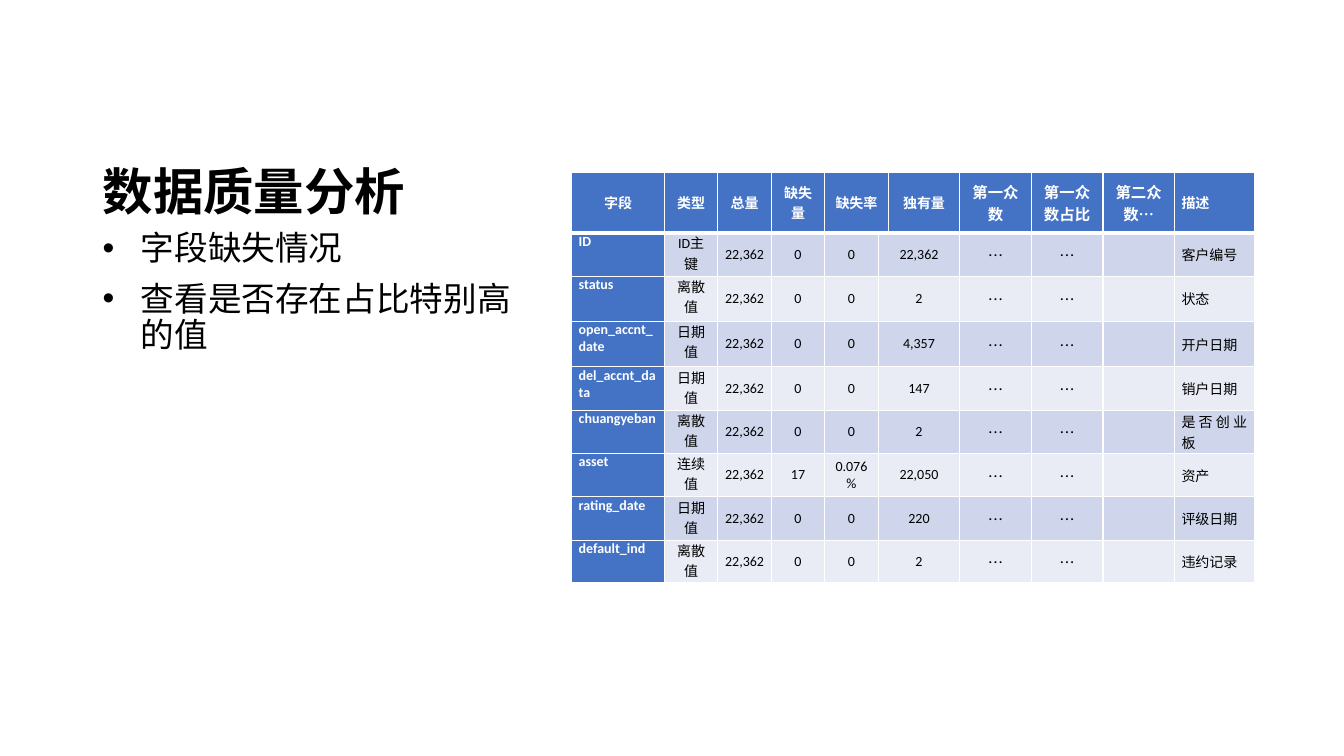
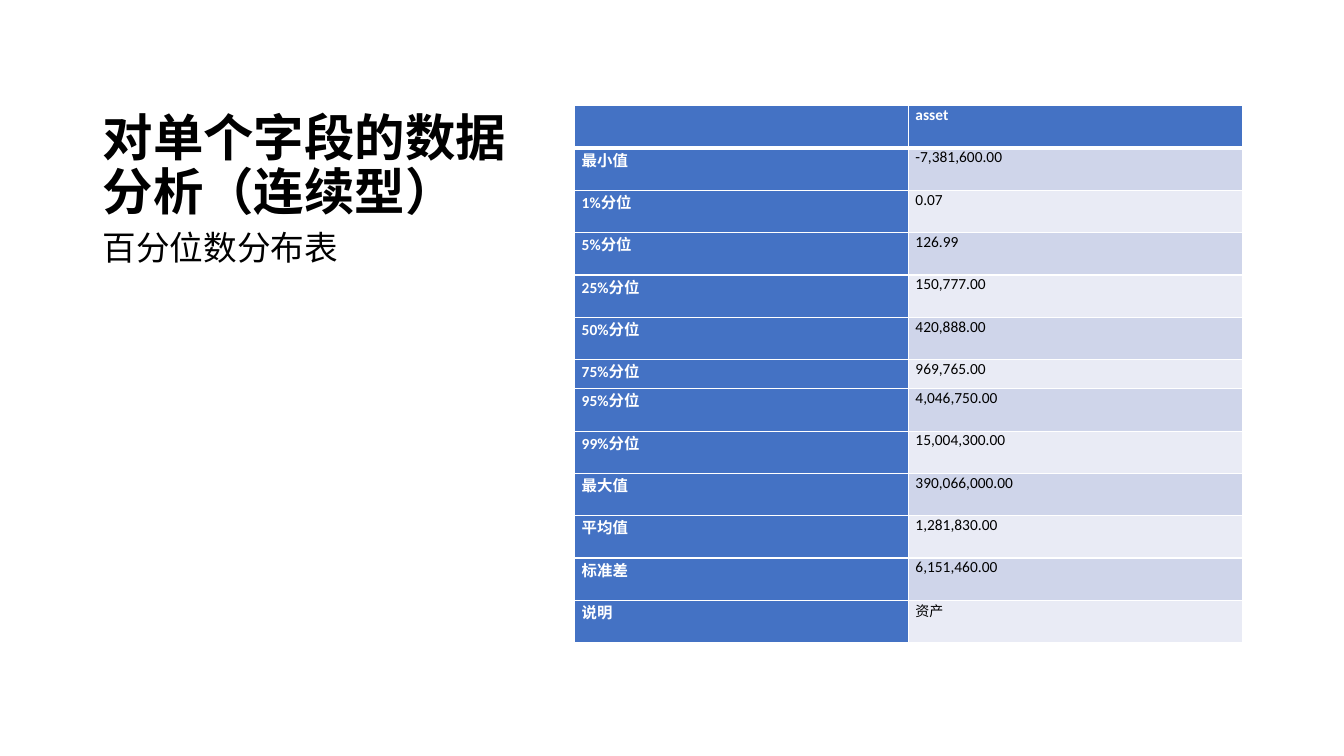
from dataclasses import dataclass

from lxml import etree
from pptx import Presentation
from pptx.dml.color import RGBColor
from pptx.enum.text import MSO_ANCHOR, PP_ALIGN
from pptx.oxml.ns import qn
from pptx.util import Inches, Pt

TOP, MIDDLE, BOTTOM = MSO_ANCHOR.TOP, MSO_ANCHOR.MIDDLE, MSO_ANCHOR.BOTTOM
CENTER, JUSTIFY = PP_ALIGN.CENTER, PP_ALIGN.JUSTIFY


@dataclass(frozen=True)
class Theme:
    """Colours, fonts and type sizes shared by the slides."""
    text: str = "000000"
    white: str = "FFFFFF"
    accent: str = "4472C4"
    bands: tuple = ("CFD5EA", "E9EBF5")
    font: str = "Calibri"
    cjk_font: str = "Noto Sans CJK SC"
    title: int = 36
    body: int = 24
    large_cell: int = 11
    cell: int = 10
    rule: int = 1
    header_rule: int = 3


THEME = Theme()
TITLE_BOX = (0.92, 0.5, 4.3, 1.75)
BODY_BOX = (0.92, 2.25, 4.3, 4.17)

QUALITY_HEADER = ["字段", "类型", "总量", "缺失量", "缺失率", "", "独有量",
                  "第一众数", "第一众数占比", "第二众数…", "描述"]
FIELDS = [
    ("ID", "ID主键", "0", "0", "22,362", "客户编号"),
    ("status", "离散值", "0", "0", "2", "状态"),
    ("open_accnt_date", "日期值", "0", "0", "4,357", "开户日期"),
    ("del_accnt_data", "日期值", "0", "0", "147", "销户日期"),
    ("chuangyeban", "离散值", "0", "0", "2", "是否创业板"),
    ("asset", "连续值", "17", "0.076%", "22,050", "资产"),
    ("rating_date", "日期值", "0", "0", "220", "评级日期"),
    ("default_ind", "离散值", "0", "0", "2", "违约记录"),
]
TOTAL = "22,362"
QUALITY_COLUMNS = [0.92] + [0.53] * 4 + [0.1] + [0.71] * 4 + [0.79]
QUALITY_ROWS = [0.6, 0.43, 0.45, 0.45] + [0.43] * 4 + [0.42]
MODE_COLUMNS = (7, 8, 9)

PERCENTILES = [
    ("", "asset"),
    ("最小值", "-7,381,600.00"),
    ("1%分位", "0.07"),
    ("5%分位", "126.99"),
    ("25%分位", "150,777.00"),
    ("50%分位", "420,888.00"),
    ("75%分位", "969,765.00"),
    ("95%分位", "4,046,750.00"),
    ("99%分位", "15,004,300.00"),
    ("最大值", "390,066,000.00"),
    ("平均值", "1,281,830.00"),
    ("标准差", "6,151,460.00"),
    ("说明", "资产"),
]
PERCENTILE_ROWS = [0.42] * 6 + [0.29] + [0.42] * 6


def style_font(paragraph, size, color, bold=False, family=THEME.font):
    """Set the type of a whole paragraph, with one font for Chinese text."""
    font = paragraph.font
    font.size, font.bold, font.name = Pt(size), bold, family
    font.color.rgb = RGBColor.from_string(color)
    properties = paragraph._p.pPr.find(qn("a:defRPr"))
    latin = properties.find(qn("a:latin"))
    east_asian = etree.Element(qn("a:ea"), typeface=THEME.cjk_font)
    latin.addnext(east_asian)


def add_text(slide, box, lines, size, bold=False, anchor=TOP, before=0, bulleted=False):
    """Write lines as paragraphs in a wrapping text box."""
    frame = slide.shapes.add_textbox(*map(Inches, box)).text_frame
    frame.word_wrap, frame.vertical_anchor = True, anchor
    frame.text = "\n".join(lines)
    for paragraph in frame.paragraphs:
        paragraph.line_spacing = 0.9
        paragraph.space_before = Pt(before)
        if bulleted:
            properties = paragraph._p.get_or_add_pPr()
            properties.set("marL", str(Inches(0.38)))
            properties.set("indent", str(-Inches(0.38)))
            etree.SubElement(properties, qn("a:buFont"), typeface="Arial")
            etree.SubElement(properties, qn("a:buChar"), char="•")
        style_font(paragraph, size, THEME.text, bold)


def add_intro(slide, title, lines, bulleted=False):
    """Place the title and the text below it in the left column."""
    add_text(slide, TITLE_BOX, [title], THEME.title, bold=True, anchor=BOTTOM)
    add_text(slide, BODY_BOX, lines, THEME.body, before=10, bulleted=bulleted)


def add_borders(cell, row):
    """Draw white cell borders, thicker under the header."""
    widths = {
        "lnL": THEME.rule,
        "lnR": THEME.rule,
        "lnT": THEME.header_rule if row == 1 else THEME.rule,
        "lnB": THEME.header_rule if row == 0 else THEME.rule,
    }
    properties = cell._tc.get_or_add_tcPr()
    for side, width in widths.items():
        line = etree.SubElement(properties, qn(f"a:{side}"), w=str(Pt(width)))
        fill = etree.SubElement(line, qn("a:solidFill"))
        etree.SubElement(fill, qn("a:srgbClr"), val=THEME.white)


def add_grid(slide, left, top, columns, heights, rows, look):
    """Build a banded table; look gives alignment, anchor, size and font of a cell."""
    box = map(Inches, (left, top, sum(columns), sum(heights)))
    table = slide.shapes.add_table(len(rows), len(columns), *box).table
    table.first_col = True
    for column, width in zip(table.columns, columns):
        column.width = Inches(width)
    for r, (values, height) in enumerate(zip(rows, heights)):
        table.rows[r].height = Inches(height)
        for c, value in enumerate(values):
            heading = r == 0 or c == 0
            align, anchor, size, family = look(r, c)
            cell = table.cell(r, c)
            cell.text = value
            cell.margin_left = cell.margin_right = Inches(0.07)
            cell.margin_top = cell.margin_bottom = 0
            cell.vertical_anchor = anchor
            add_borders(cell, r)
            cell.fill.solid()
            cell.fill.fore_color.rgb = RGBColor.from_string(
                THEME.accent if heading else THEME.bands[(r - 1) % 2])
            paragraph = cell.text_frame.paragraphs[0]
            paragraph.alignment = align
            style_font(paragraph, size, THEME.white if heading else THEME.text, heading, family)
    return table


def quality_look(row, column):
    """Give the cell look of the data quality table."""
    edge = column == len(QUALITY_COLUMNS) - 1 or (column == 0 and row > 0)
    anchor = TOP if row > 0 and column < 2 else MIDDLE
    size, family = ((THEME.large_cell, THEME.cjk_font) if column in MODE_COLUMNS
                    else (THEME.cell, THEME.font))
    return JUSTIFY if edge else CENTER, anchor, size, family


def percentile_look(row, column):
    """Give the cell look of the percentile table."""
    note = row == len(PERCENTILES) - 1 and column == 1
    return JUSTIFY, TOP, THEME.cell if note else THEME.large_cell, THEME.font


def quality_slide(slide):
    """Build the slide on data quality."""
    add_intro(slide, "数据质量分析", ["字段缺失情况", "查看是否存在占比特别高的值"], bulleted=True)
    rows = [QUALITY_HEADER] + [
        [field, kind, TOTAL, missing, rate, unique, "", "…", "…", "", meaning]
        for field, kind, missing, rate, unique, meaning in FIELDS]
    table = add_grid(slide, 5.67, 1.71, QUALITY_COLUMNS, QUALITY_ROWS, rows, quality_look)
    for r in range(len(rows)):
        first = 4 if r == 0 else 5
        table.cell(r, first).merge(table.cell(r, first + 1))


def percentile_slide(slide):
    """Build the slide on the percentiles of one field."""
    add_intro(slide, "对单个字段的数据分析（连续型）", ["百分位数分布表"])
    add_grid(slide, 5.7, 1.05, [3.31] * 2, PERCENTILE_ROWS, PERCENTILES, percentile_look)


def main():
    """Build and save the presentation."""
    deck = Presentation()
    deck.slide_width, deck.slide_height = Inches(13.33), Inches(7.5)
    for build in (quality_slide, percentile_slide):
        build(deck.slides.add_slide(deck.slide_layouts[6]))
    deck.save("out.pptx")


main()
